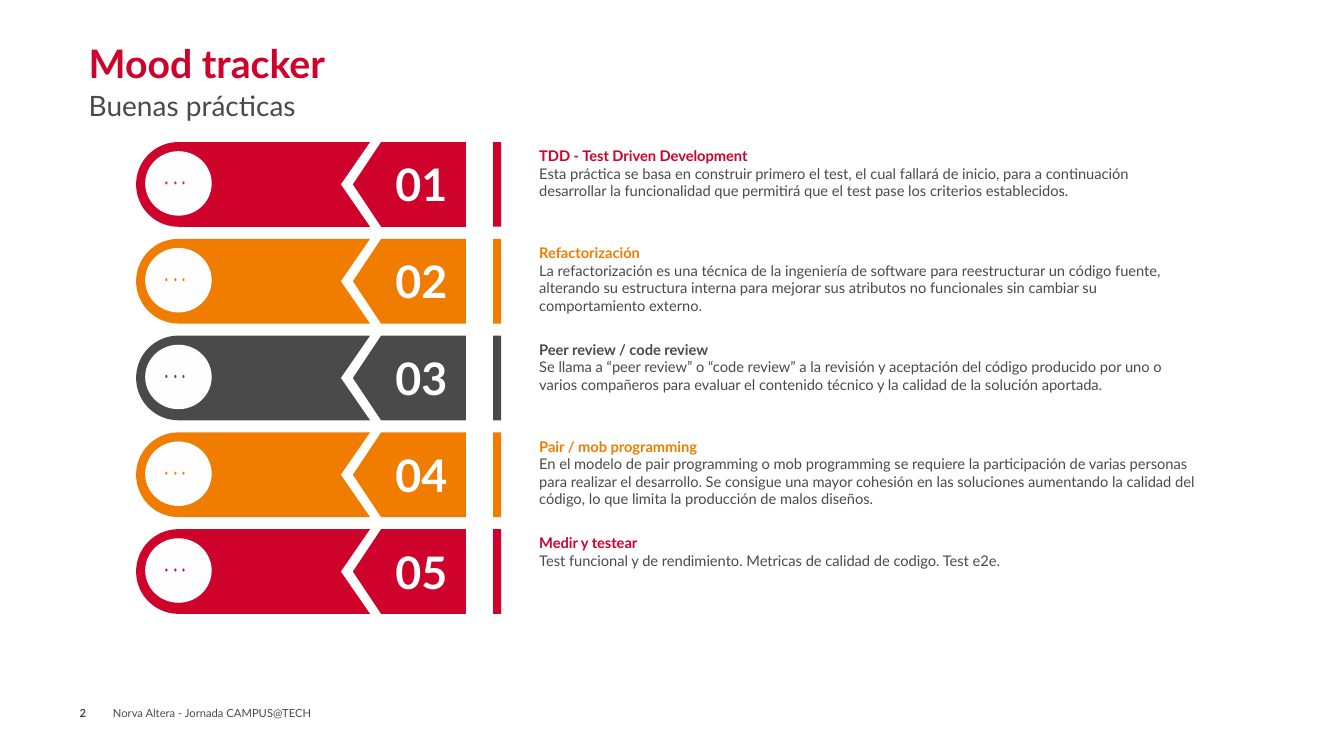
import math

from pptx import Presentation
from pptx import util as u
from pptx.dml.color import RGBColor
from pptx.enum import shapes, text

CRIMSON = RGBColor(0xCF, 0x02, 0x2B)
SCARLET = RGBColor(0xDA, 0x20, 0x2D)
ORANGE = RGBColor(0xF0, 0x7D, 0x00)
GRAY = RGBColor(0x4A, 0x4A, 0x4A)
WHITE = RGBColor(0xFF, 0xFF, 0xFF)
BADGE = RGBColor(0xFE, 0xFD, 0xFF)

PRACTICES = [
    (CRIMSON, SCARLET, "TDD - Test Driven Development",
     "Esta práctica se basa en construir primero el test, el cual fallará de inicio, para a "
     "continuación desarrollar la funcionalidad que permitirá que el test pase los criterios "
     "establecidos."),
    (ORANGE, ORANGE, "Refactorización",
     "La refactorización es una técnica de la ingeniería de software para reestructurar un código "
     "fuente, alterando su estructura interna para mejorar sus atributos no funcionales sin "
     "cambiar su comportamiento externo."),
    (GRAY, GRAY, "Peer review / code review",
     "Se llama a “peer review” o “code review” a la revisión y aceptación del código producido "
     "por uno o varios compañeros para evaluar el contenido técnico y la calidad de la solución "
     "aportada."),
    (ORANGE, ORANGE, "Pair / mob programming",
     "En el modelo de pair programming o mob programming se requiere la participación de varias "
     "personas para realizar el desarrollo. Se consigue una mayor cohesión en las soluciones "
     "aumentando la calidad del código, lo que limita la producción de malos diseños."),
    (CRIMSON, CRIMSON, "Medir y testear",
     "Test funcional y de rendimiento. Metricas de calidad de codigo. Test e2e."),
]
FIRST_TOP, PITCH, HEIGHT = 1.41, 0.96, 0.84


class PracticeSlide:
    """Draws the elements of the slide in one shared style."""

    font = "Lato"

    def __init__(self, deck):
        self.page = deck.slides.add_slide(deck.slide_layouts[5])

    def style(self, para, size, color, bold=False, align=text.PP_ALIGN.LEFT):
        para.alignment = align
        for span in para.runs:
            span.font.name = self.font
            span.font.size = u.Pt(size)
            span.font.bold = bold
            span.font.color.rgb = color

    def frame(self, box, anchor, inset):
        frame = box.text_frame
        frame.word_wrap = True
        frame.auto_size = text.MSO_AUTO_SIZE.NONE
        frame.vertical_anchor = anchor
        if not inset:
            frame.margin_left = frame.margin_right = 0
            frame.margin_top = frame.margin_bottom = 0
        return frame

    def title(self, wording, left, top, width, height):
        box = self.page.shapes.title
        box.left, box.top = u.Inches(left), u.Inches(top)
        box.width, box.height = u.Inches(width), u.Inches(height)
        frame = self.frame(box, text.MSO_ANCHOR.BOTTOM, False)
        frame.text = wording
        self.style(frame.paragraphs[0], 28, CRIMSON, True)

    def label(self, lines, left, top, width, height, anchor=text.MSO_ANCHOR.TOP,
              inset=False, align=text.PP_ALIGN.LEFT):
        box = self.page.shapes.add_textbox(*map(u.Inches, (left, top, width, height)))
        frame = self.frame(box, anchor, inset)
        frame.text = "\n".join(line[0] for line in lines)
        for para, (_, size, color, bold) in zip(frame.paragraphs, lines):
            self.style(para, size, color, bold, align)

    def paint(self, shape, color):
        shape.shadow.inherit = False
        shape.fill.solid()
        shape.fill.fore_color.rgb = color
        shape.line.fill.background()

    def shape(self, kind, color, left, top, width, height):
        self.paint(self.page.shapes.add_shape(
            kind, *map(u.Inches, (left, top, width, height))), color)

    def outline(self, points, color):
        start, *rest = [(u.Inches(x), u.Inches(y)) for x, y in points]
        builder = self.page.shapes.build_freeform(*start)
        builder.add_line_segments(rest, close=True)
        self.paint(builder.convert_to_shape(), color)

    def practice(self, number, color, dot_color, heading, detail):
        top = FIRST_TOP + (number - 1) * PITCH
        middle, bottom, radius = top + HEIGHT / 2, top + HEIGHT, HEIGHT / 2
        angles = [math.radians(degree) for degree in range(90, 271, 5)]
        cap = [(1.77 + radius * math.cos(a), middle - radius * math.sin(a)) for a in angles]
        self.outline([(3.67, top), *cap, (3.67, bottom), (3.38, middle)], color)
        self.outline([(4.62, bottom), (3.78, bottom), (3.5, middle), (3.78, top),
                      (4.62, top)], color)
        self.shape(shapes.MSO_SHAPE.RECTANGLE, color, 4.89, top, 0.08, HEIGHT)
        self.shape(shapes.MSO_SHAPE.OVAL, BADGE, 1.44, top + 0.09, 0.66, 0.64)
        for left in (1.64, 1.73, 1.81):
            self.shape(shapes.MSO_SHAPE.OVAL, dot_color, left, top + 0.39, 0.02, 0.03)
        self.label([(f"{number:02}", 32, WHITE, True)], 3.74, top + 0.1, 0.88, 0.64,
                   inset=True, align=text.PP_ALIGN.CENTER)
        self.label([(heading, 10.5, color, True), (detail, 10.5, GRAY, False)],
                   5.25, top, 6.74, 0.81, inset=True)


def main():
    deck = Presentation()
    deck.slide_width, deck.slide_height = u.Inches(13.33), u.Inches(7.5)
    slide = PracticeSlide(deck)
    slide.title("Mood tracker", 0.88, 0, 11.76, 0.86)
    slide.label([("Buenas prácticas", 20, GRAY, False)], 0.88, 0.88, 11.76, 0.39)
    for number, practice in enumerate(PRACTICES, 1):
        slide.practice(number, *practice)
    middle = text.MSO_ANCHOR.MIDDLE
    slide.label([("2", 8, GRAY, True)], 0.79, 6.93, 0.3, 0.28, middle)
    slide.label([("Norva Altera - Jornada CAMPUS@TECH", 8, GRAY, False)],
                1.12, 6.93, 3.94, 0.28, middle)
    deck.save("out.pptx")


if __name__ == "__main__":
    main()
